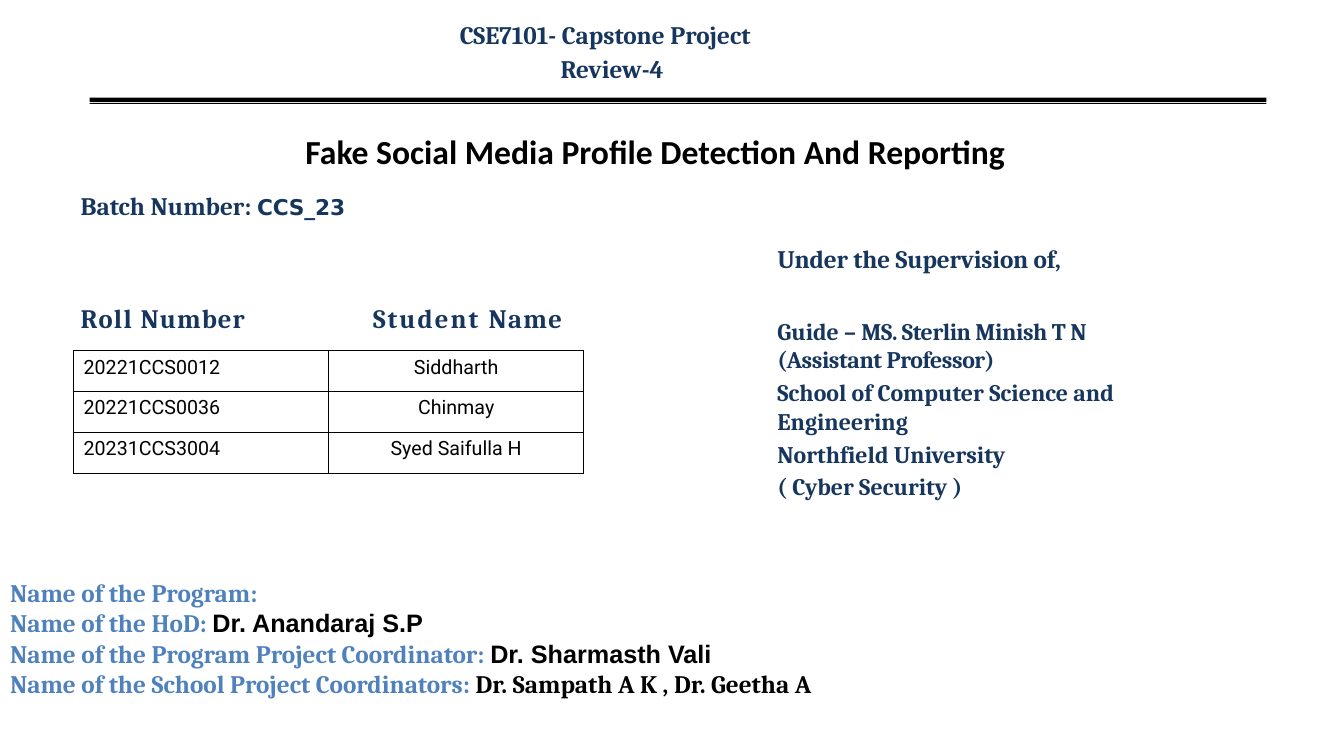
from pptx import Presentation
from pptx import util as u
from pptx.dml import color
from pptx.enum import shapes, text
from pptx.oxml import parse_xml
from pptx.oxml.ns import nsdecls

NAVY, BLUE, BLACK = "17365D", "4F81BC", "000000"
SERIF = "Cambria"


def rgb(code):
    return color.RGBColor.from_string(code)


def style(font, size, face, ink, bold):
    font.size = u.Pt(size)
    font.name = face
    font.color.rgb = rgb(ink)
    font.bold = bold


def write(para, parts, size=18, face=SERIF, ink=NAVY, bold=True, before=0):
    para.space_before = u.Pt(before)
    style(para.font, size, face, ink, bold)
    for words, *look in parts:
        run = para.add_run()
        run.text = words
        own = dict(size=size, face=face, ink=ink, gap=0)
        own.update(*look)
        style(run.font, own["size"], own["face"], own["ink"], bold)
        run.font._element.set("spc", str(round(own["gap"] * 100)))
    return para


def indent(para, left, first=0):
    props = para._p.get_or_add_pPr()
    props.set("marL", str(u.Inches(left)))
    props.set("indent", str(u.Inches(first)))


def box(slide, left, top, width, height):
    frame = slide.shapes.add_textbox(
        u.Inches(left), u.Inches(top), u.Inches(width), u.Inches(height)).text_frame
    frame.word_wrap = True
    frame.margin_left = frame.margin_right = 0
    frame.margin_top = frame.margin_bottom = 0
    return frame


def lines(frame, rows, **look):
    for n, (parts, before) in enumerate(rows):
        para = frame.add_paragraph() if n else frame.paragraphs[0]
        write(para, parts, before=before, **look)


def bar(slide, top, height):
    shape = slide.shapes.add_shape(
        shapes.MSO_SHAPE.RECTANGLE,
        u.Inches(0.89), u.Inches(top), u.Inches(11.67), u.Inches(height))
    shape.shadow.inherit = False
    shape.fill.solid()
    shape.fill.fore_color.rgb = rgb(BLACK)
    shape.line.fill.background()


def edge(cell):
    props = cell._tc.get_or_add_tcPr()
    for n, side in enumerate(("lnL", "lnR", "lnT", "lnB")):
        props.insert(n, parse_xml(
            f'<a:{side} {nsdecls("a")} w="12700"><a:solidFill>'
            f'<a:srgbClr val="{BLACK}"/></a:solidFill></a:{side}>'))


def grid(slide, left, top, cols, height, count):
    table = slide.shapes.add_table(
        count, len(cols), u.Inches(left), u.Inches(top),
        u.Inches(sum(cols)), u.Inches(height * count)).table
    table.first_row = table.horz_banding = False
    for col, width in zip(table.columns, cols):
        col.width = u.Inches(width)
    for cell in table.iter_cells():
        cell.fill.background()
        cell.margin_left = cell.margin_right = 0
        cell.margin_top = cell.margin_bottom = 0
    return table


def heads(slide):
    table = grid(slide, 0.77, 3.03, (2.34, 2.58), 0.31, 1)
    labels = (
        (0.03, [("Roll ", {"gap": 1}), ("Number", {"gap": 0.8})]),
        (0.59, [("Student ", {"gap": 1.5}), ("Name", {"gap": 1})]),
    )
    for cell, (left, parts) in zip(table.iter_cells(), labels):
        para = write(cell.text_frame.paragraphs[0], parts, size=19)
        para.line_spacing = u.Pt(21.4)
        indent(para, left)


def roster(slide):
    people = (
        ("20221CCS0012", "Siddharth"),
        ("20221CCS0036", "Chinmay"),
        ("20231CCS3004", "Syed Saifulla H"),
    )
    table = grid(slide, 0.73, 3.48, (2.53, 2.53), 0.405, len(people))
    for row, person in zip(table.rows, people):
        for cell, words in zip(row.cells, person):
            cell.margin_top = u.Inches(0.05)
            edge(cell)
            write(cell.text_frame.paragraphs[0], [(words,)],
                  size=14, face="Roboto", ink=BLACK, bold=False)
        indent(row.cells[0].text_frame.paragraphs[0], 0.1)
        row.cells[1].text_frame.paragraphs[0].alignment = text.PP_ALIGN.CENTER


def main():
    deck = Presentation()
    deck.slide_width, deck.slide_height = u.Inches(13.33), u.Inches(7.5)
    slide = deck.slides.add_slide(deck.slide_layouts[6])

    bar(slide, 0.97, 0.04)
    bar(slide, 1.02, 0.01)

    head = write(box(slide, 4.55, 0.15, 3.12, 0.68).paragraphs[0],
                 [("CSE7101- Capstone Project Review-4",)])
    head.line_spacing = 1.14
    indent(head, 1.01, -1)

    title = write(box(slide, 2.5, 1.3, 8, 0.41).paragraphs[0],
                  [("Fake Social Media Profile Detection And Reporting",)],
                  size=24, face="Calibri", ink=BLACK)
    title.alignment = text.PP_ALIGN.CENTER

    write(box(slide, 0.8, 1.89, 5, 0.3).paragraphs[0], [
        ("Batch Number: ",),
        ("CCS_23", {"size": 15.5, "face": "DejaVu Sans", "gap": -0.1})])

    heads(slide)
    roster(slide)

    write(box(slide, 7.71, 2.41, 3.8, 0.3).paragraphs[0],
          [("Under the Supervision of,", {"gap": -0.1})])
    lines(box(slide, 7.71, 3.14, 3.8, 1.85), (
        ([("Guide – ",),
          ("MS. Sterlin Minish T N (Assistant Professor)", {"gap": -0.3})], 0),
        ([("School of Computer Science and Engineering",)], 3),
        ([("Northfield University",)], 3),
        ([("( Cyber Security )",)], 3),
    ), size=17)

    sans = {"face": "Arial", "ink": BLACK}
    lines(box(slide, 0.1, 5.73, 12.4, 1.2), (
        ([("Name of the Program:",)], 0),
        ([("Name of the HoD: ",), ("Dr. Anandaraj S.P", sans)], 0),
        ([("Name of the Program Project Coordinator: ",),
          ("Dr. Sharmasth Vali", sans)], 0),
        ([("Name of the School Project Coordinators: ",),
          ("Dr. Sampath A K , Dr. Geetha A", {"ink": BLACK})], 0),
    ), ink=BLUE)

    deck.save("out.pptx")


if __name__ == "__main__":
    main()
